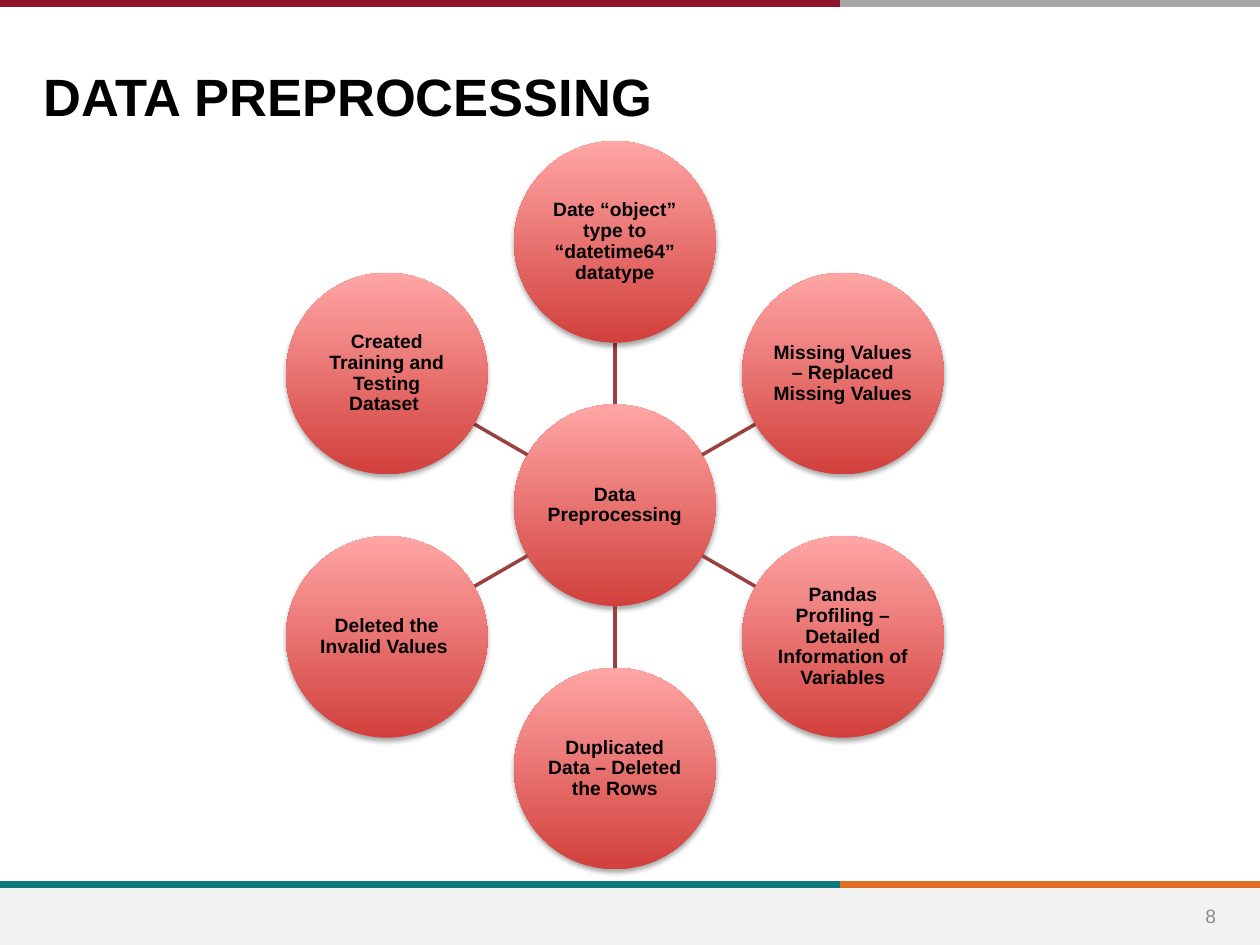
import math

from lxml import etree
from pptx import Presentation
from pptx.dml.color import RGBColor
from pptx.enum.shapes import MSO_CONNECTOR, MSO_SHAPE
from pptx.enum.text import MSO_ANCHOR, PP_ALIGN
from pptx.oxml import parse_xml
from pptx.oxml.ns import nsdecls, qn
from pptx.util import Inches, Pt

STRAIGHT = MSO_CONNECTOR.STRAIGHT
RECTANGLE, OVAL = MSO_SHAPE.RECTANGLE, MSO_SHAPE.OVAL
TOP, MIDDLE = MSO_ANCHOR.TOP, MSO_ANCHOR.MIDDLE
LEFT, CENTER = PP_ALIGN.LEFT, PP_ALIGN.CENTER

COLORS = {
    "black": "000000",
    "crimson": "90152A",
    "silver": "A6A6A6",
    "teal": "0F787D",
    "orange": "DF7023",
    "footer": "F2F2F2",
    "number": "8C8C8C",
    "circle_top": "FFA6A5",
    "circle_bottom": "D1403C",
    "spoke": "9A403E",
}

PAGE_WIDTH, PAGE_HEIGHT = 10, 7.5
BAR_SPLIT = 6.67
HUB_X, HUB_Y = 4.88, 4.01
RADIUS = 0.8
ORBIT = 2.09

HUB_LABEL = "Data Preprocessing"
# Clockwise from the top
STEP_LABELS = [
    "Date “object” type to “datetime64” datatype",
    "Missing Values – Replaced Missing Values",
    "Pandas Profiling – Detailed Information of Variables",
    "Duplicated Data – Deleted the Rows",
    "Deleted the Invalid Values ",
    "Created Training and Testing Dataset ",
]


def rgb(name):
    return RGBColor.from_string(COLORS[name])


def write_text(frame, text, size, color="black", bold=False, align=LEFT,
               anchor=TOP, line_spacing=None, inset=None):
    frame.word_wrap = True
    frame.vertical_anchor = anchor
    if inset is not None:
        frame.margin_left = frame.margin_right = Inches(inset)
        frame.margin_top = frame.margin_bottom = Inches(inset)
    para = frame.paragraphs[0]
    para.alignment = align
    if line_spacing:
        para.line_spacing = line_spacing
    span = para.add_run()
    span.text = text
    span.font.name = "Arial"
    span.font.size = Pt(size)
    span.font.bold = bold
    span.font.color.rgb = rgb(color)


class PageBuilder:
    def __init__(self, page):
        self.shapes = page.shapes

    def line(self, start, end, color, width):
        x1, y1, x2, y2 = (Inches(value) for value in (*start, *end))
        connector = self.shapes.add_connector(STRAIGHT, x1, y1, x2, y2)
        connector.line.color.rgb = rgb(color)
        connector.line.width = Pt(width)
        etree.SubElement(connector._element.spPr, qn("a:effectLst"))

    def split_bar(self, y, left_color, right_color):
        self.line((BAR_SPLIT, y), (PAGE_WIDTH, y), right_color, 4)
        self.line((0, y), (BAR_SPLIT, y), left_color, 4)

    def rectangle(self, left, top, width, height, color):
        box = self.shapes.add_shape(RECTANGLE, Inches(left), Inches(top),
                                    Inches(width), Inches(height))
        box.shadow.inherit = False
        box.fill.solid()
        box.fill.fore_color.rgb = rgb(color)
        box.line.fill.background()

    def text(self, left, top, width, height, text, **style):
        box = self.shapes.add_textbox(Inches(left), Inches(top),
                                      Inches(width), Inches(height))
        write_text(box.text_frame, text, **style)

    def circle(self, x, y, label):
        circle = self.shapes.add_shape(
            OVAL, Inches(x - RADIUS), Inches(y - RADIUS),
            Inches(2 * RADIUS), Inches(2 * RADIUS))
        circle.line.fill.background()
        circle.fill.gradient()
        circle.fill.gradient_angle = 90
        for stop, color in zip(circle.fill.gradient_stops,
                               ("circle_bottom", "circle_top")):
            stop.color.rgb = rgb(color)
        # Soft shadow straight below
        circle.shadow.inherit = False
        effects = circle._element.spPr.find(qn("a:effectLst"))
        effects.append(parse_xml(
            f'<a:outerShdw {nsdecls("a")} blurRad="{Pt(3.1)}" dist="{Pt(1.8)}" '
            f'dir="5400000" rotWithShape="0"><a:srgbClr val="{COLORS["black"]}">'
            '<a:alpha val="35000"/></a:srgbClr></a:outerShdw>'))
        write_text(circle.text_frame, label, size=11, bold=True, align=CENTER,
                   anchor=MIDDLE, line_spacing=0.9, inset=0.01)


def main():
    deck = Presentation()
    deck.slide_width = Inches(PAGE_WIDTH)
    deck.slide_height = Inches(PAGE_HEIGHT)
    builder = PageBuilder(deck.slides.add_slide(deck.slide_layouts[6]))

    # Footer and header bars
    builder.split_bar(7.02, "teal", "orange")
    builder.rectangle(0, 7.05, PAGE_WIDTH, 0.45, "footer")
    builder.split_bar(0.03, "crimson", "silver")

    # Page number and title
    builder.text(9.35, 7.07, 0.52, 0.4, "8", size=11, color="number",
                 align=CENTER, anchor=MIDDLE)
    builder.text(0.25, 0.46, 7.99, 0.59, "DATA PREPROCESSING", size=30, bold=True)

    # Hub with its steps around it
    builder.circle(HUB_X, HUB_Y, HUB_LABEL)
    for index, label in enumerate(STEP_LABELS):
        angle = math.tau * index / len(STEP_LABELS)
        start, end, center = (
            (HUB_X + reach * math.sin(angle), HUB_Y - reach * math.cos(angle))
            for reach in (RADIUS, ORBIT - RADIUS, ORBIT))
        builder.line(start, end, "spoke", 2)
        builder.circle(*center, label)

    deck.save("out.pptx")


if __name__ == "__main__":
    main()
